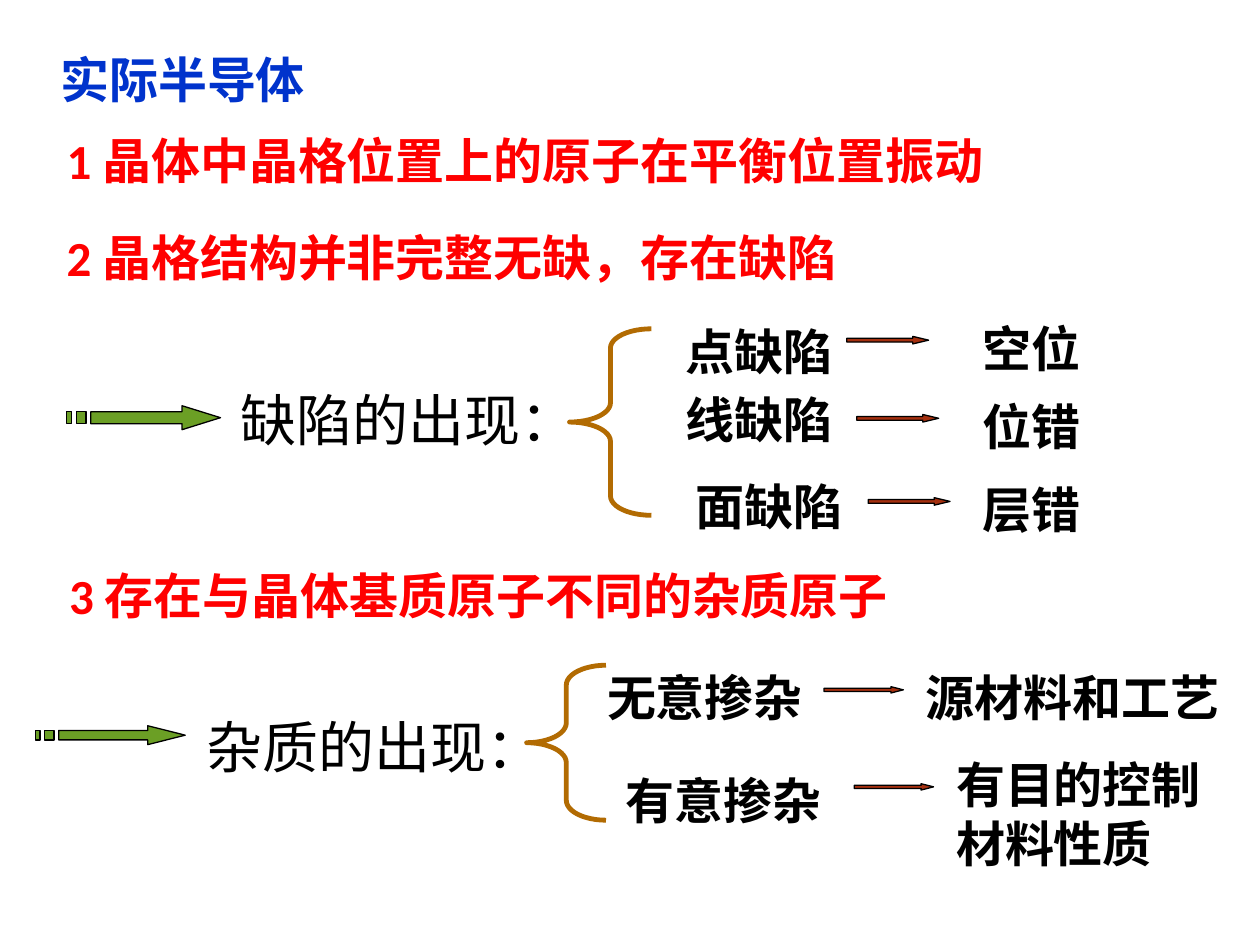
from lxml import etree
from pptx import Presentation
from pptx.dml.color import RGBColor
from pptx.enum import shapes, text
from pptx.util import Inches, Pt

BLACK, RED, BLUE = "000000", "FF0000", "0033CC"
GREEN, RUST, OCHRE = "6B9F25", "A5300F", "B26B02"


def rgb(value):
    return RGBColor.from_string(value)


def paint(sp, fill, line, width):
    sp.shadow.inherit = False
    if fill:
        sp.fill.solid()
        sp.fill.fore_color.rgb = rgb(fill)
    else:
        sp.fill.background()
    sp.line.color.rgb = rgb(line)
    sp.line.width = Pt(width)


def add_text(parent, x, y, w, lines, size=28, color=BLACK, bold=True, h=0.57, wrap=False):
    sp = parent.shapes.add_textbox(Inches(x), Inches(y), Inches(w), Inches(h))
    tf = sp.text_frame
    tf.word_wrap = wrap
    tf.auto_size = text.MSO_AUTO_SIZE.SHAPE_TO_FIT_TEXT
    for i, line in enumerate(lines.split("\n")):
        p = tf.paragraphs[0] if i == 0 else tf.add_paragraph()
        r = p.add_run()
        r.text = line
        r.font.name = "Calibri"
        r.font.size = Pt(size)
        r.font.bold = bold
        r.font.color.rgb = rgb(color)
        # Chinese characters take the East Asian typeface
        latin = r._r.rPr.find("{*}latin")
        ea = etree.Element(latin.tag.replace("latin", "ea"), typeface="Calibri")
        latin.addnext(ea)


def add_striped_arrow(parent, x, y, w, h):
    """Right arrow with two stripes as its tail, in fractions of its box."""
    head = [(.75, 0), (.75, .25), (5 / 32, .25), (5 / 32, .75), (.75, .75), (.75, 1), (1, .5)]
    stripes = [[(a, .25), (a, .75), (b, .75), (b, .25)] for a, b in ((1 / 16, 1 / 8), (0, 1 / 32))]
    fb = None
    for outline in [head, *stripes]:
        pts = [(Inches(x + a * w), Inches(y + b * h)) for a, b in outline]
        if fb is None:
            fb = parent.shapes.build_freeform(*pts[0])
        else:
            fb.move_to(*pts[0])
        fb.add_line_segments(pts[1:], close=True)
    paint(fb.convert_to_shape(), GREEN, BLACK, 0.75)


def add_preset(parent, kind, x, y, w, h, adj, fill, line, width):
    sp = parent.shapes.add_shape(kind, Inches(x), Inches(y), Inches(w), Inches(h))
    for i, value in enumerate(adj):
        sp.adjustments[i] = value
    paint(sp, fill, line, width)


def add_branch(s, x, y, arrow, label, brace, curl, small_arrow, rows):
    """Striped arrow, label and brace, then rows of (kind, arrow, result); offsets from x, y."""
    g = s.shapes.add_group_shape()
    dx, dy, w, h = arrow
    add_striped_arrow(g, x + dx, y + dy, w, h)
    dx, dy, w, words = label
    add_text(g, x + dx, y + dy, w, words, size=32, bold=False, h=0.64)
    dx, dy, w, h = brace
    add_preset(g, shapes.MSO_SHAPE.LEFT_BRACE, x + dx, y + dy, w, h, (curl, 0.5), None, OCHRE, 2.75)
    w, h, point = small_arrow
    for kind, (ax, ay), result in rows:
        add_preset(g, shapes.MSO_SHAPE.RIGHT_ARROW, x + ax, y + ay, w, h,
                   (0.5, point), RUST, BLACK, 0.75)
        for dx, dy, tw, words in (kind, result):
            add_text(g, x + dx, y + dy, tw, words, h=1.04 if "\n" in words else 0.57)


def add_headings(s, x, y):
    add_text(s, x, y, 2.17, "实际半导体", color=BLUE)
    for dx, dy, words in (
        (0.05, 0.65, "1 晶体中晶格位置上的原子在平衡位置振动"),
        (0.05, 1.42, "2 晶格结构并非完整无缺，存在缺陷"),
        (0.07, 4.10, "3 存在与晶体基质原子不同的杂质原子"),
    ):
        add_text(s, x + dx, y + dy, 8.66, words, color=RED, wrap=True)


def main():
    prs = Presentation()
    prs.slide_width, prs.slide_height = Inches(10), Inches(7.5)
    s = prs.slides.add_slide(prs.slide_layouts[6])
    add_headings(s, 0.38, 0.34)
    add_branch(
        s, 0.53, 2.48, (0, 0.74, 1.22, 0.19), (1.28, 0.53, 2.91, "缺陷的出现："),
        (3.99, 0.13, 0.65, 1.48), 0.235, (0.65, 0.06, 2.1),
        [((4.81, 0.02, 1.37, "点缺陷"), (6.19, 0.19), (7.17, 0, 0.98, "空位")),
         ((4.81, 0.56, 1.37, "线缺陷"), (6.27, 0.81), (7.17, 0.62, 0.98, "位错")),
         ((4.89, 1.25, 1.37, "面缺陷"), (6.36, 1.47), (7.17, 1.28, 0.98, "层错"))])
    add_branch(
        s, 0.28, 5.25, (0, 0.51, 1.19, 0.15), (1.26, 0.36, 2.79, "杂质的出现："),
        (3.9, 0.03, 0.63, 1.23), 0.25, (0.63, 0.05, 1.97),
        [((4.44, 0, 1.76, "无意掺杂"), (6.26, 0.2), (6.97, 0, 2.55, "源材料和工艺")),
         ((4.59, 0.82, 1.76, "有意掺杂"), (6.5, 0.97), (7.21, 0.69, 2.16, "有目的控制\n材料性质"))])
    prs.save("out.pptx")


if __name__ == "__main__":
    main()
